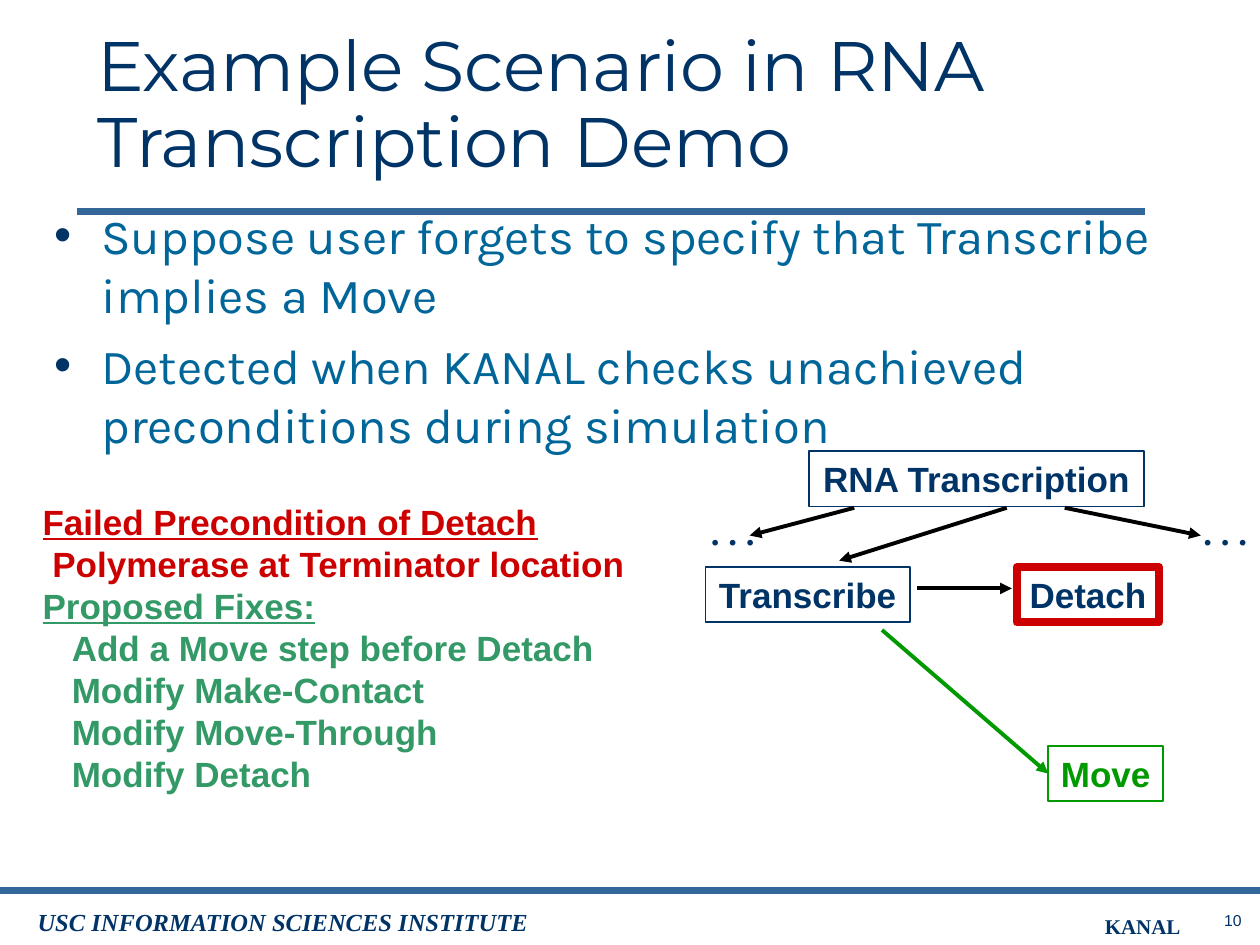
from lxml.etree import SubElement as add_element
from pptx import Presentation
from pptx.dml.color import RGBColor
from pptx.enum.shapes import MSO_CONNECTOR as Connector, MSO_SHAPE as Shape
from pptx.enum.text import MSO_ANCHOR as Anchor, MSO_AUTO_SIZE as AutoSize, PP_ALIGN as Align
from pptx.oxml.ns import qn
from pptx.util import Pt

NAVY, BLUE, TEAL = "003366", "336699", "006699"
RED, GREEN, SEA_GREEN, BLACK = "CC0000", "009900", "339966", "000000"
LABEL = {"name": "Arial", "size": Pt(20), "bold": True}
DOTS = {"name": "Times New Roman", "size": Pt(20), "bold": True}


def color(hex_text):
    return RGBColor.from_string(hex_text)


def place(shape, bounds):
    for name, value in zip(("left", "top", "width", "height"), bounds):
        setattr(shape, name, Pt(value))


def add_span(para, text, hex_text, formats):
    span = para.add_run()
    span.text = text
    for name, value in formats.items():
        setattr(span.font, name, value)
    span.font.color.rgb = color(hex_text)


def add_text(slide, bounds, text, hex_text, formats, align=Align.LEFT, wrap=False):
    box = slide.shapes.add_textbox(*map(Pt, bounds))
    box.text_frame.word_wrap = wrap
    para = box.text_frame.paragraphs[0]
    para.alignment = align
    add_span(para, text, hex_text, formats)
    return box


def add_step(slide, bounds, text, text_color, line_color, weight=1):
    box = slide.shapes.add_shape(Shape.RECTANGLE, *map(Pt, bounds))
    box.shadow.inherit = False
    box.fill.background()
    box.line.color.rgb = color(line_color)
    box.line.width = Pt(weight)
    frame = box.text_frame
    frame.word_wrap = False
    frame.vertical_anchor = Anchor.TOP
    para = frame.paragraphs[0]
    para.alignment = Align.CENTER
    add_span(para, text, text_color, LABEL)
    return box


def add_line(slide, start, end, hex_text, weight, arrow=False):
    line = slide.shapes.add_connector(Connector.STRAIGHT, *map(Pt, start + end))
    line.line.color.rgb = color(hex_text)
    line.line.width = Pt(weight)
    if arrow:
        add_element(line.line._get_or_add_ln(), qn("a:tailEnd"), type="triangle")
    add_element(line._element.spPr, qn("a:effectLst"))
    return line


def add_bullet(para):
    props = para._p.get_or_add_pPr()
    props.set("marL", str(Pt(27)))
    props.set("indent", str(Pt(-27)))
    add_element(add_element(props, qn("a:buClr")), qn("a:srgbClr"), val=NAVY)
    add_element(props, qn("a:buFont"), typeface="Arial")
    add_element(props, qn("a:buChar"), char="•")


def fill_title(slide):
    title = slide.shapes.title
    place(title, (48.24, 18, 601.92, 90))
    frame = title.text_frame
    frame.auto_size = AutoSize.NONE
    frame.vertical_anchor = Anchor.BOTTOM
    para = frame.paragraphs[0]
    para.alignment = Align.LEFT
    para.line_spacing = 0.9
    add_span(para, "Example Scenario in RNA Transcription Demo", NAVY,
             {"name": "Montserrat", "size": Pt(40)})


def fill_body(slide):
    body = slide.placeholders[1]
    place(body, (23.76, 113.76, 696.24, 156.24))
    frame = body.text_frame
    frame.auto_size = AutoSize.NONE
    points = ("Suppose user forgets to specify that Transcribe implies a Move",
              "Detected when KANAL checks unachieved preconditions during simulation")
    for index, point in enumerate(points):
        para = frame.add_paragraph() if index else frame.paragraphs[0]
        add_bullet(para)
        para.space_before = Pt(7 if index else 0)
        add_span(para, point, TEAL, {"name": "Karla", "size": Pt(28)})


def add_footer(slide):
    serif = {"name": "Times New Roman", "bold": True}
    add_line(slide, (43.92, 120.96), (654.48, 120.96), BLUE, 4)
    add_line(slide, (0, 509.04), (720, 509.04), BLUE, 4)
    add_text(slide, (676.8, 516.96, 55.44, 18), "10", NAVY,
             {"name": "Arial", "size": Pt(9)}, Align.CENTER)
    add_text(slide, (14.4, 514.8, 313.92, 23.76), "USC INFORMATION SCIENCES INSTITUTE",
             NAVY, {**serif, "size": Pt(14), "italic": True}, wrap=True)
    add_text(slide, (624.24, 518.4, 84.24, 21.6), "KANAL", NAVY,
             {**serif, "size": Pt(12)}, wrap=True)


def add_findings(slide):
    # Text, colour, underline, left indent
    findings = (
        ("Failed Precondition of Detach", RED, True, 0),
        ("Polymerase at Terminator location", RED, False, 5.56),
        ("Proposed Fixes:", SEA_GREEN, True, 0),
        ("Add a Move step before Detach", SEA_GREEN, False, 16.68),
        ("Modify Make-Contact", SEA_GREEN, False, 16.68),
        ("Modify Move-Through", SEA_GREEN, False, 16.68),
        ("Modify Detach", SEA_GREEN, False, 16.68),
    )
    box = slide.shapes.add_textbox(*map(Pt, (17.28, 282.24, 348.48, 175.68)))
    frame = box.text_frame
    frame.word_wrap = False
    for index, (text, hex_text, underline, indent) in enumerate(findings):
        para = frame.add_paragraph() if index else frame.paragraphs[0]
        para.alignment = Align.LEFT
        if indent:
            para._p.get_or_add_pPr().set("marL", str(Pt(indent)))
        add_span(para, text, hex_text, {**LABEL, "underline": underline})


def add_diagram(slide):
    # Steps of the process
    add_step(slide, (462.24, 257.76, 191.52, 31.68), "RNA Transcription", NAVY, NAVY)
    add_step(slide, (581.04, 324, 81.36, 31.68), "Detach", NAVY, RED, 4.5)
    add_step(slide, (403.2, 324, 116.64, 31.68), "Transcribe", NAVY, NAVY)
    move = add_step(slide, (599.04, 426.24, 65.52, 31.68), "Move", GREEN, GREEN)
    for left in (398.88, 680.4):
        add_text(slide, (left, 288, 39.6, 31.68), ". . .", NAVY, DOTS, Align.CENTER)

    # Arrows between the steps
    for start, end in (((575.28, 290.16), (479.52, 320.4)),
                       ((488.16, 290.16), (428.4, 306)),
                       ((608.4, 290.16), (686.16, 306)),
                       ((524.16, 336.24), (578.16, 336.24))):
        add_line(slide, start, end, BLACK, 2.25, arrow=True)
    fix = add_line(slide, (504, 360), (599.04, 442.08), GREEN, 2.25, arrow=True)
    fix.end_connect(move, 1)


def main():
    deck = Presentation()
    deck.slide_width, deck.slide_height = Pt(720), Pt(540)
    page = deck.slides.add_slide(deck.slide_layouts[1])
    add_footer(page)
    fill_title(page)
    fill_body(page)
    add_findings(page)
    add_diagram(page)
    deck.save("out.pptx")


if __name__ == "__main__":
    main()
